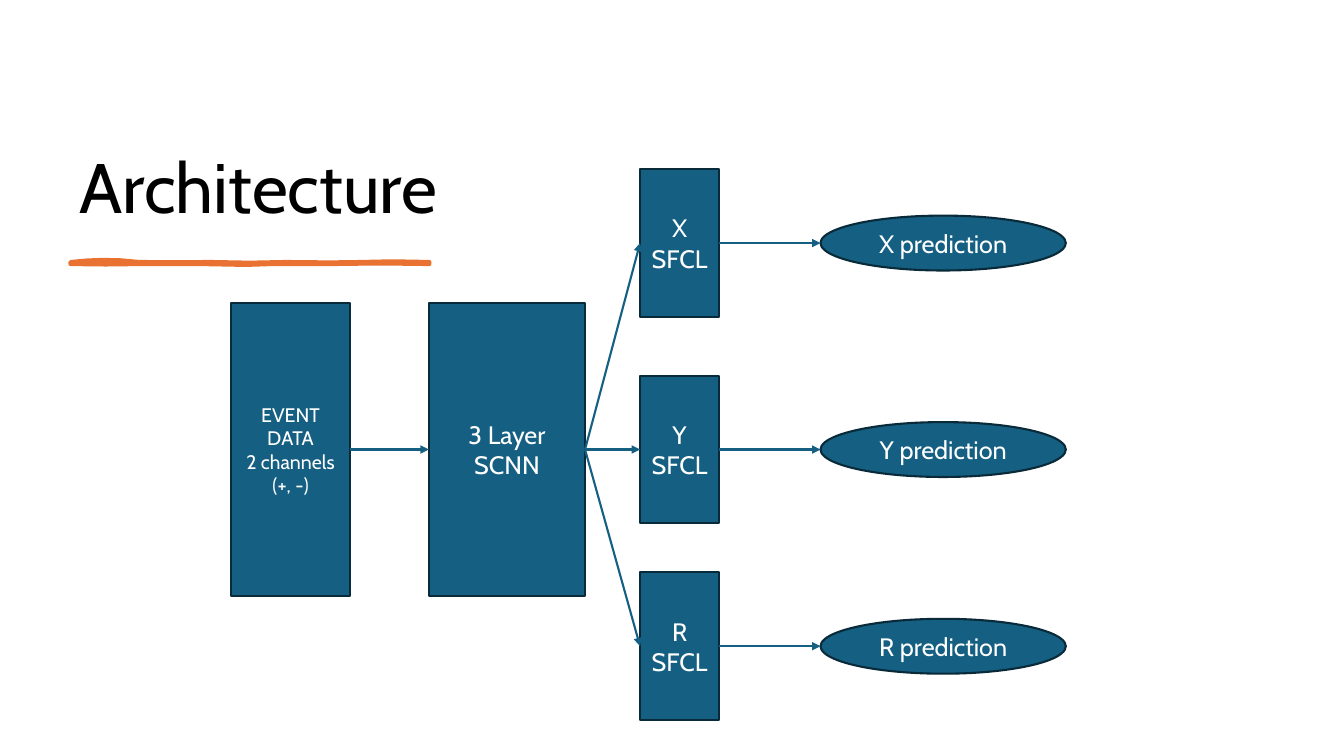
from lxml import etree
from pptx import Presentation
from pptx.dml.color import RGBColor
from pptx.enum.shapes import MSO_CONNECTOR, MSO_SHAPE
from pptx.enum.text import MSO_ANCHOR as ANCHOR, PP_ALIGN as ALIGN
from pptx.oxml.ns import qn
from pptx.util import Pt

BLACK = RGBColor(0x00, 0x00, 0x00)
WHITE = RGBColor(0xFF, 0xFF, 0xFF)
TEAL = RGBColor(0x15, 0x60, 0x82)
NAVY = RGBColor(0x09, 0x2A, 0x39)
ORANGE = RGBColor(0xE9, 0x71, 0x32)
FONT = "Cabin"

STROKE = [
    (0, 0), (12, -1.1), (22, -1.5), (35, -1.3), (49, 0), (75, 0.2),
    (100, 0), (128, 0.5), (154, 0), (185, 0.3), (208, 0), (230, -0.5),
    (256.3, 0), (256.3, 1.4), (225, 1), (200, 1.2), (180, 1.5), (144, 1.4),
    (125, 2), (93, 1.4), (50, 1.4), (25, 1.7), (0, 1.4),
]


def write(sp, text, size=18, color=WHITE, align=ALIGN.CENTER,
          anchor=ANCHOR.MIDDLE, spacing=1.0):
    """Fill a shape with one paragraph per line of text."""
    tf = sp.text_frame
    tf.word_wrap = True
    tf.vertical_anchor = anchor
    for i, line in enumerate(text.split("\n")):
        p = tf.add_paragraph() if i else tf.paragraphs[0]
        p.alignment = align
        p.line_spacing = spacing
        r = p.add_run()
        r.text = line
        r.font.name = FONT
        r.font.size = Pt(size)
        r.font.color.rgb = color


def add_node(s, kind, box, text, size=18):
    """Draw a labelled block of the network and return it."""
    sp = s.shapes.add_shape(kind, *map(Pt, box))
    sp.shadow.inherit = False
    sp.fill.solid()
    sp.fill.fore_color.rgb = TEAL
    sp.line.color.rgb = NAVY
    sp.line.width = Pt(1.5)
    write(sp, text, size)
    return sp


def add_arrow(s, source, target):
    """Link the right middle of one node to the left middle of another."""
    line = s.shapes.add_connector(
        MSO_CONNECTOR.STRAIGHT,
        source.left + source.width, source.top + source.height // 2,
        target.left, target.top + target.height // 2)
    line.line.color.rgb = TEAL
    line.line.width = Pt(1.5)
    etree.SubElement(line.line._get_or_add_ln(), qn("a:tailEnd"), type="triangle")
    etree.SubElement(line._element.spPr, qn("a:effectLst"))


def add_title(s, x, y, w, h):
    """Place the heading with its hand-drawn underline below."""
    box = s.shapes.add_textbox(Pt(x), Pt(y), Pt(w), Pt(h))
    write(box, "Architecture", 50, BLACK, ALIGN.LEFT, ANCHOR.BOTTOM, 0.9)
    points = [(Pt(x + 0.7 + dx), Pt(y + h + 20.2 + dy)) for dx, dy in STROKE]
    builder = s.shapes.build_freeform(*points[0])
    builder.add_line_segments(points[1:], close=True)
    sp = builder.convert_to_shape()
    sp.shadow.inherit = False
    sp.fill.solid()
    sp.fill.fore_color.rgb = ORANGE
    sp.line.color.rgb = ORANGE
    sp.line.width = Pt(3)
    etree.SubElement(sp.line._get_or_add_ln(), qn("a:round"))


def add_network(s, x, y, w, h):
    """Lay out the network from event data to the three predictions."""
    main_h, head_h, oval_h = 209, 105.4, 39.2
    mid = y + 200.2
    top = mid - main_h / 2
    data = add_node(s, MSO_SHAPE.RECTANGLE, (x, top, 85.3, main_h),
                    "EVENT DATA\n2 channels\n(+, -)", 14)
    scnn = add_node(s, MSO_SHAPE.RECTANGLE, (x + 141.4, top, 111.6, main_h),
                    "3 Layer SCNN")
    add_arrow(s, data, scnn)
    centers = (y + head_h / 2, mid, y + h - head_h / 2)
    for name, cy in zip("XYR", centers):
        head = add_node(s, MSO_SHAPE.RECTANGLE,
                        (x + 292.3, cy - head_h / 2, 56.5, head_h),
                        f"{name} SFCL")
        oval = add_node(s, MSO_SHAPE.OVAL,
                        (x + w - 175.2, cy - oval_h / 2, 175.2, oval_h),
                        f"{name} prediction")
        add_arrow(s, scnn, head)
        add_arrow(s, head, oval)


def main():
    """Build the slide and save it."""
    prs = Presentation()
    prs.slide_width, prs.slide_height = Pt(960), Pt(540)
    s = prs.slides.add_slide(prs.slide_layouts[6])
    add_title(s, 49.7, 50.4, 379.4, 116.6)
    add_network(s, 164.9, 120.9, 596.4, 393.4)
    prs.save("out.pptx")


if __name__ == "__main__":
    main()
